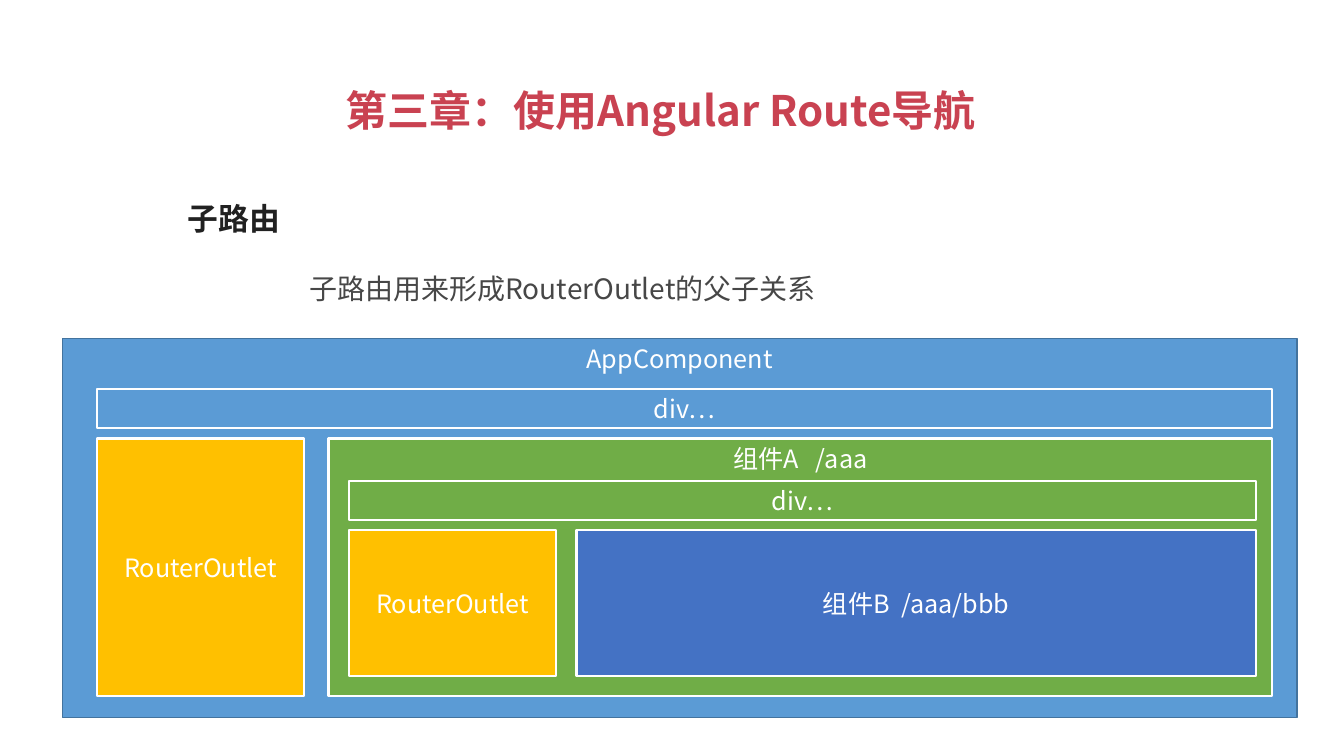
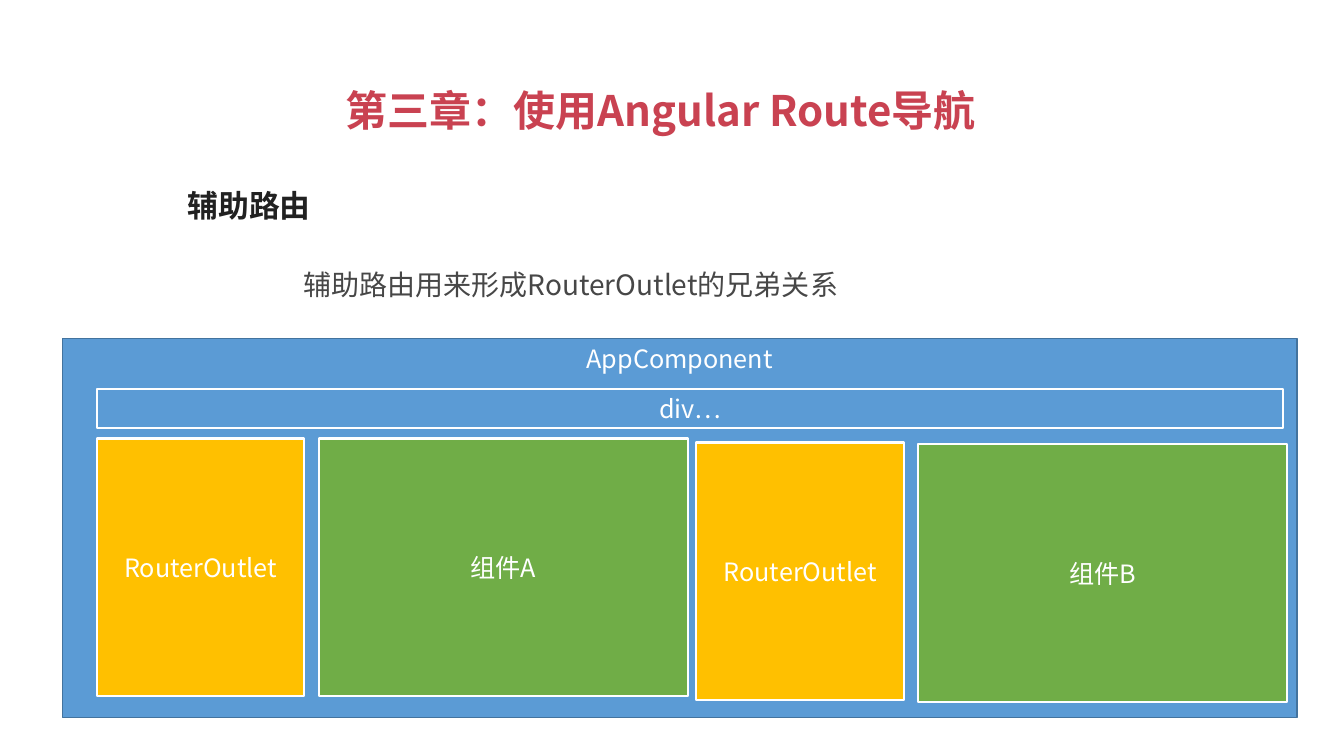
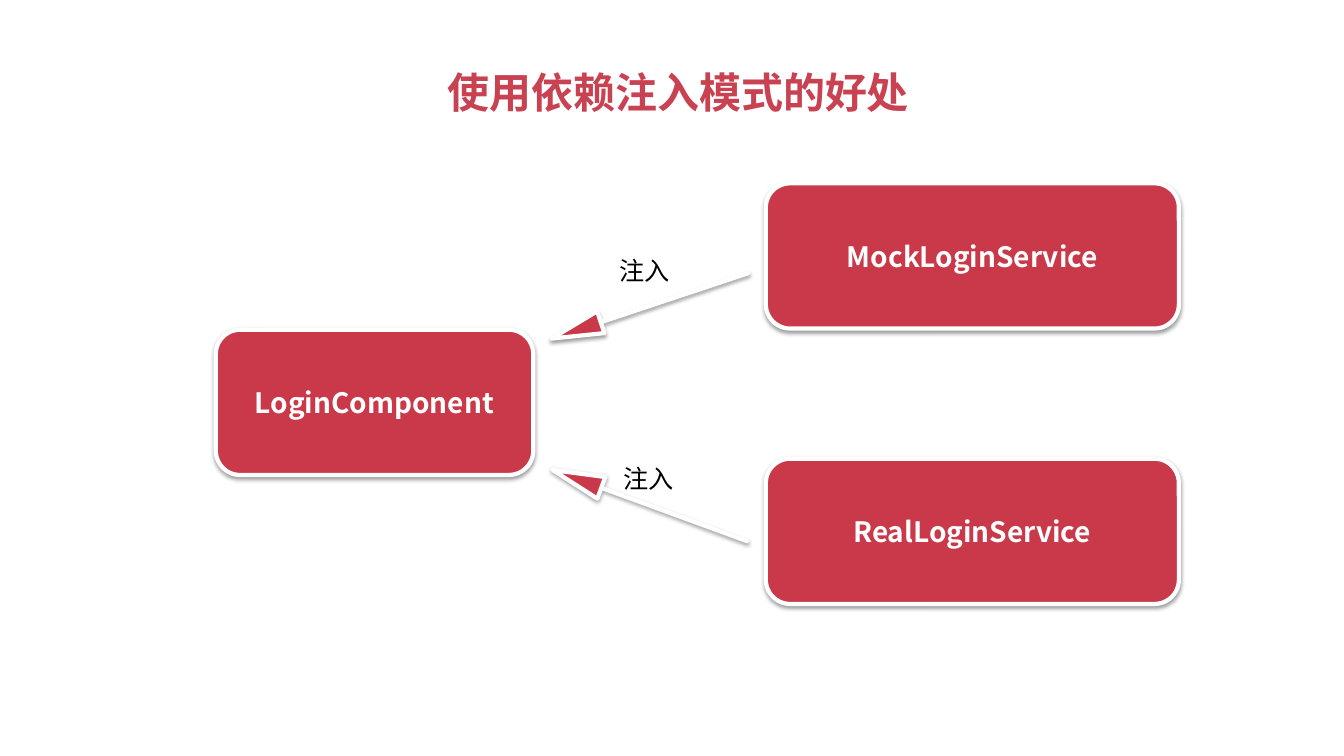
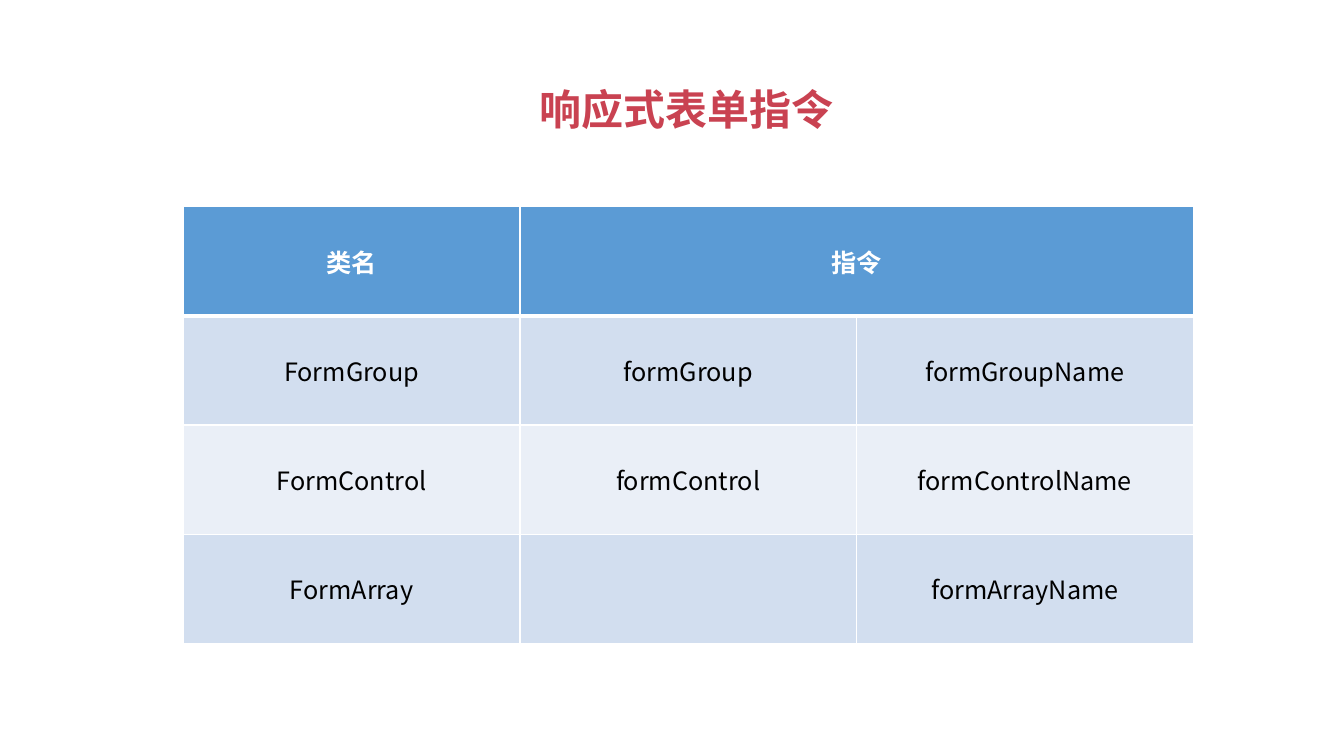
from dataclasses import dataclass

from lxml import etree
from pptx import Presentation
from pptx import util as u
from pptx.dml.color import RGBColor
from pptx.enum import shapes, text
from pptx.oxml import parse_xml
from pptx.oxml.ns import qn


@dataclass(frozen=True)
class Theme:
    font: str = "Noto Sans CJK SC"
    white: str = "FFFFFF"
    black: str = "000000"
    title: str = "C94251"
    heading: str = "212121"
    body: str = "474747"
    blue: str = "5B9BD5"
    blue_edge: str = "43739E"
    amber: str = "FFC000"
    green: str = "70AD47"
    indigo: str = "4472C4"
    red: str = "C9394A"
    band_dark: str = "D2DEEF"
    band_light: str = "EAEFF7"
    title_size: int = 30
    heading_size: int = 22
    body_size: int = 20
    label_size: int = 18


theme = Theme()
namespace = "http://schemas.openxmlformats.org/drawingml/2006/main"
middle = text.MSO_ANCHOR.MIDDLE
top = text.MSO_ANCHOR.TOP
center = text.PP_ALIGN.CENTER
left = text.PP_ALIGN.LEFT


def write(frame, runs, size, color, bold=False, align=center, anchor=middle):
    frame.word_wrap = True
    frame.vertical_anchor = anchor
    paragraph = frame.paragraphs[0]
    paragraph.alignment = align
    for content, spacing in runs:
        run = paragraph.add_run()
        run.text = content
        run.font.name = theme.font
        run.font.size = u.Pt(size)
        run.font.bold = bold
        run.font.color.rgb = RGBColor.from_string(color)
        properties = run.font._element
        etree.SubElement(properties, qn("a:ea"), typeface=theme.font)
        if spacing:
            properties.set("spc", str(spacing * 100))


def add_block(slide, kind, place, fill, line=theme.white, width=1.5):
    shape = slide.shapes.add_shape(kind, *map(u.Cm, place))
    shape.shadow.inherit = False
    shape.fill.solid()
    shape.fill.fore_color.rgb = RGBColor.from_string(fill)
    shape.line.color.rgb = RGBColor.from_string(line)
    shape.line.width = u.Pt(width)
    return shape


presentation = Presentation()
presentation.slide_width = u.Cm(33.87)
presentation.slide_height = u.Cm(19.05)

chapter = "第三章：使用Angular Route导航"
titles = [
    (chapter, 8.46, 2, 16.87),
    (chapter, 8.46, 2, 16.87),
    ("使用依赖注入模式的好处", 11.02, 1.55, 12.27),
    ("响应式表单指令", 13.34, 1.98, 8),
]
slides = []
for title, x, y, width in titles:
    slide = presentation.slides.add_slide(presentation.slide_layouts[6])
    shape = slide.shapes.add_textbox(u.Cm(x), u.Cm(y), u.Cm(width), u.Cm(1.55))
    write(shape.text_frame, [(title, 0)], theme.title_size, theme.title, True, left, top)
    slides.append(slide)
child_slide, sibling_slide, injection_slide, form_slide = slides

outlet_width, bar_height = 5.23, 0.99
column_x, row_y, row_height = 2.44, 11.05, 6.5
inner_x, inner_y, inner_height = 8.79, 13.36, 3.68
sibling_step, component_x, component_width = 15.11, 8.03, 9.3

route_slides = [
    (child_slide, "子路由", 4.78, "子路由用来形成RouterOutlet的父子关系", 7.54, 6.71, 29.62, [
        ("RouterOutlet", (column_x, row_y, outlet_width, row_height), theme.amber, middle),
        (None, (8.28, row_y, 23.78, row_height), theme.green, top),
        ("div…", (inner_x, 12.12, 22.86, bar_height), theme.green, middle),
        ("RouterOutlet", (inner_x, inner_y, outlet_width, inner_height), theme.amber, middle),
        ("组件B /aaa/bbb", (14.53, inner_y, 17.12, inner_height), theme.indigo, middle),
    ]),
    (sibling_slide, "辅助路由", 4.47, "辅助路由用来形成RouterOutlet的兄弟关系", 7.39, 6.6, 29.9, [
        ("RouterOutlet", (column_x, row_y, outlet_width, row_height), theme.amber, middle),
        ("RouterOutlet", (column_x + sibling_step, 11.15, outlet_width, row_height), theme.amber, middle),
        ("组件A", (component_x, row_y, component_width, row_height), theme.green, middle),
        ("组件B", (component_x + sibling_step, 11.2, component_width, row_height), theme.green, middle),
    ]),
]
gap_labels = {
    None: [("组件A", 0), (" ", 8), ("/aaa", 0)],
    "组件B /aaa/bbb": [("组件B", 0), (" ", 4), ("/aaa/bbb", 0)],
}
rectangle = shapes.MSO_SHAPE.RECTANGLE
for slide, heading, heading_y, summary, summary_x, summary_y, bar_width, blocks in route_slides:
    shape = slide.shapes.add_textbox(u.Cm(4.48), u.Cm(heading_y), u.Cm(22.67), u.Cm(1.42))
    write(shape.text_frame, [(heading, 0)], theme.heading_size, theme.heading, True, left)
    shape = slide.shapes.add_textbox(u.Cm(summary_x), u.Cm(summary_y), u.Cm(21.59), u.Cm(1.12))
    write(shape.text_frame, [(summary, 0)], theme.body_size, theme.body, False, left)

    shape = add_block(slide, rectangle, (1.57, 8.53, 31.12, 9.55), theme.blue, theme.blue_edge, 1)
    write(shape.text_frame, [("AppComponent", 0)], theme.label_size, theme.white, anchor=top)
    bar = ("div…", (column_x, 9.8, bar_width, bar_height), theme.blue, middle)
    for label, place, fill, anchor in [bar, *blocks]:
        shape = add_block(slide, rectangle, place, fill)
        runs = gap_labels.get(label, [(label, 0)])
        write(shape.text_frame, runs, theme.label_size, theme.white, anchor=anchor)

rounded = shapes.MSO_SHAPE.ROUNDED_RECTANGLE
arrow = shapes.MSO_SHAPE.LEFT_ARROW
injection_blocks = [
    (rounded, "LoginComponent", (5.44, 8.31, 8, 3.66), 0, [0.167]),
    (rounded, "MockLoginService", (19.3, 4.62, 10.41, 3.66), 0, [0.167]),
    (rounded, "RealLoginService", (19.3, 11.56, 10.41, 3.66), 0, [0.167]),
    (arrow, "", (13.77, 7.42, 5.21, 0.58), -18.4, [0, 2.25]),
    (arrow, "", (13.77, 12.45, 5.21, 0.58), 20.1, [0, 2.25]),
]
for kind, label, place, rotation, adjustments in injection_blocks:
    shape = add_block(injection_slide, kind, place, theme.red, width=3)
    shape.rotation = rotation
    for index, value in enumerate(adjustments):
        shape.adjustments[index] = value
    effects = shape._element.spPr.find(qn("a:effectLst"))
    effects.append(parse_xml(
        f'<a:outerShdw xmlns:a="{namespace}" blurRad="{u.Pt(3.1)}" dist="{u.Pt(1.6)}" '
        f'dir="5400000" rotWithShape="0"><a:srgbClr val="{theme.black}">'
        '<a:alpha val="38000"/></a:srgbClr></a:outerShdw>'
    ))
    if label:
        write(shape.text_frame, [(label, 0)], theme.body_size, theme.white, True)

for x, y in [(15.37, 6.3), (15.47, 11.56)]:
    shape = injection_slide.shapes.add_textbox(u.Cm(x), u.Cm(y), u.Cm(1.8), u.Cm(1.02))
    write(shape.text_frame, [("注入", 0)], theme.label_size, theme.black, align=left, anchor=top)

rows = [
    ("类名", "指令", ""),
    ("FormGroup", "formGroup", "formGroupName"),
    ("FormControl", "formControl", "formControlName"),
    ("FormArray", "", "formArrayName"),
]
row_fills = [theme.blue, theme.band_dark, theme.band_light, theme.band_dark]
table = form_slide.shapes.add_table(4, 3, u.Cm(4.62), u.Cm(5.21), u.Cm(25.45), u.Cm(11)).table
table.first_row = False
table.horz_banding = False
table.cell(0, 1).merge(table.cell(0, 2))
for row_index, (labels, fill) in enumerate(zip(rows, row_fills)):
    header = row_index == 0
    for column_index, label in enumerate(labels):
        cell = table.cell(row_index, column_index)
        properties = cell._tc.get_or_add_tcPr()
        thick_side = {0: "lnB", 1: "lnT"}.get(row_index)
        for side in ("lnL", "lnR", "lnT", "lnB"):
            width = u.Pt(3 if side == thick_side else 1)
            properties.append(parse_xml(
                f'<a:{side} xmlns:a="{namespace}" w="{width}"><a:solidFill>'
                f'<a:srgbClr val="{theme.white}"/></a:solidFill></a:{side}>'
            ))
        cell.fill.solid()
        cell.fill.fore_color.rgb = RGBColor.from_string(fill)
        cell.vertical_anchor = middle
        if label:
            color = theme.white if header else theme.black
            write(cell.text_frame, [(label, 0)], theme.label_size, color, header)

presentation.save("out.pptx")
